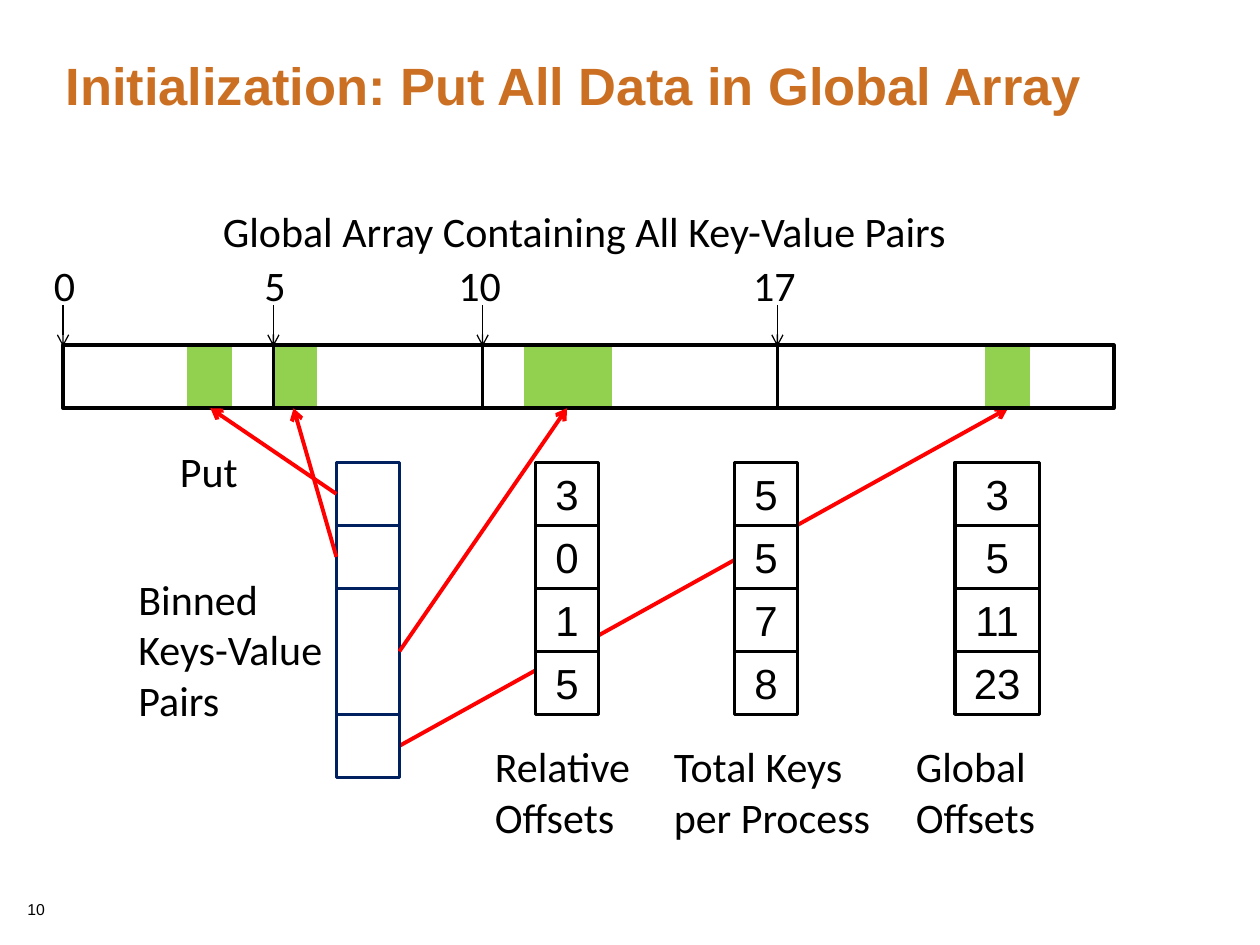
import pptx
import pptx.dml.color
import pptx.enum.shapes
import pptx.enum.text
import pptx.oxml
import pptx.oxml.ns
import pptx.util
from pptx.util import Inches

COLORS = {
    "title": "CB7023",
    "ink": "000000",
    "paper": "FFFFFF",
    "put": "FF0000",
    "data": "92D050",
    "bin": "002060",
}


def rgb(name):
    return pptx.dml.color.RGBColor.from_string(COLORS[name])


class Diagram:
    body = {"name": "Calibri", "size": pptx.util.Pt(24), "bold": False}
    cell = {"name": "Arial", "size": pptx.util.Pt(24), "bold": False}
    heading = {"name": "Arial", "size": pptx.util.Pt(30), "bold": True}
    footer = {"name": "Arial", "size": pptx.util.Pt(9), "bold": False}

    def __init__(self, page):
        self.page = page

    def fill_text(self, frame, text, style, color, **layout):
        para = frame.paragraphs[0]
        span = para.add_run()
        span.text = text
        for key, value in style.items():
            setattr(span.font, key, value)
        span.font.color.rgb = rgb(color)
        for key, value in layout.items():
            setattr(para, key, value)

    def label(self, text, left, top, width, height, style=None, color="ink",
              wrap=True, margins=None, **layout):
        box = self.page.shapes.add_textbox(
            Inches(left), Inches(top), Inches(width), Inches(height))
        box.text_frame.word_wrap = wrap
        for key, value in (margins or {}).items():
            setattr(box.text_frame, key, value)
        self.fill_text(box.text_frame, text, style or self.body, color, **layout)

    def block(self, left, top, width, height, line, fill=None, text=None):
        box = self.page.shapes.add_shape(
            pptx.enum.shapes.MSO_SHAPE.RECTANGLE,
            Inches(left), Inches(top), Inches(width), Inches(height))
        box.shadow.inherit = False
        box.line.color.rgb = rgb(line)
        box.line.width = pptx.util.Pt(2)
        if fill:
            box.fill.solid()
            box.fill.fore_color.rgb = rgb(fill)
        else:
            box.fill.background()
        if text:
            frame = box.text_frame
            frame.word_wrap = False
            frame.vertical_anchor = pptx.enum.text.MSO_ANCHOR.MIDDLE
            self.fill_text(frame, text, self.cell, "ink",
                           alignment=pptx.enum.text.PP_ALIGN.CENTER)

    def column(self, values, left, top, width, size):
        for row, value in enumerate(values):
            self.block(left, top + row * size, width, size, "ink", "paper", value)

    def arrow(self, start, end, color, width):
        link = self.page.shapes.add_connector(
            pptx.enum.shapes.MSO_CONNECTOR.STRAIGHT,
            *[Inches(value) for value in (*start, *end)])
        link.line.color.rgb = rgb(color)
        link.line.width = pptx.util.Pt(width)
        namespace = pptx.oxml.ns.nsdecls("a")
        properties = link.element.spPr
        outline = properties.find(pptx.oxml.ns.qn("a:ln"))
        outline.append(pptx.oxml.parse_xml(
            f'<a:tailEnd {namespace} type="arrow"/>'))
        properties.append(pptx.oxml.parse_xml(f'<a:effectLst {namespace}/>'))


def main():
    deck = pptx.Presentation()
    deck.slide_width, deck.slide_height = Inches(10), Inches(7.5)
    diagram = Diagram(deck.slides.add_slide(deck.slide_layouts[6]))

    flush = dict.fromkeys(
        ("margin_left", "margin_top", "margin_right", "margin_bottom"), 0)
    diagram.label("Initialization: Put All Data in Global Array",
                  0.52, 0.5, 8.97, 1.08, diagram.heading, "title",
                  margins=flush, line_spacing=0.85)
    diagram.label("10", 0.12, 7.09, 0.56, 0.4, diagram.footer)

    array_top, cell_size, table_top = 2.74, 0.5, 3.67
    array_bottom = array_top + cell_size
    bin_left = 2.67
    bin_right = bin_left + cell_size

    diagram.arrow((bin_right, 5.92), (8, array_bottom), "put", 2.25)

    for left, width in ((1.5, 0.33), (2.17, 0.33), (4.17, 0.67), (7.83, 0.33)):
        diagram.block(left, array_top, width, cell_size, "data", "data")

    edges = (0.5, 2.17, 3.83, 6.17, 8.84)
    for left, right in zip(edges, edges[1:]):
        diagram.block(left, array_top, right - left, cell_size, "ink")

    bin_top = table_top
    for units in (1, 1, 2, 1):
        diagram.block(bin_left, bin_top, cell_size, units * cell_size, "bin")
        bin_top += units * cell_size

    for values, left, width in (
        (("3", "0", "1", "5"), 4.25, 0.5),
        (("5", "5", "7", "8"), 5.83, 0.5),
        (("3", "5", "11", "23"), 7.58, 0.67),
    ):
        diagram.column(values, left, table_top, width, cell_size)

    for start, target in (
        ((bin_left, 3.92), 1.67),
        ((bin_left, 4.42), 2.33),
        ((bin_right, 5.17), 4.5),
    ):
        diagram.arrow(start, (target, array_bottom), "put", 2.25)

    for text, edge, left, width in zip(
            ("0", "5", "10", "17"), edges,
            (0.33, 2, 3.54, 5.88), (0.37, 0.37, 0.54, 0.54)):
        diagram.arrow((edge, 2.42), (edge, 2.75), "ink", 0.75)
        diagram.label(text, left, 2.01, width, 0.51, wrap=False)

    diagram.label("Global Array Containing All Key-Value Pairs",
                  1.67, 1.58, 6, 0.51, wrap=False)
    diagram.label("Put", 1.33, 3.49, 0.66, 0.51, wrap=False)
    diagram.label("Binned Keys-Value Pairs", 1, 4.5, 1.75, 1.31)
    for text, left, width in (
        ("Relative Offsets", 3.83, 1.5),
        ("Total Keys per Process", 5.25, 2),
        ("Global Offsets", 7.17, 1.5),
    ):
        diagram.label(text, left, 5.83, width, 0.91)

    deck.save("out.pptx")


if __name__ == "__main__":
    main()
